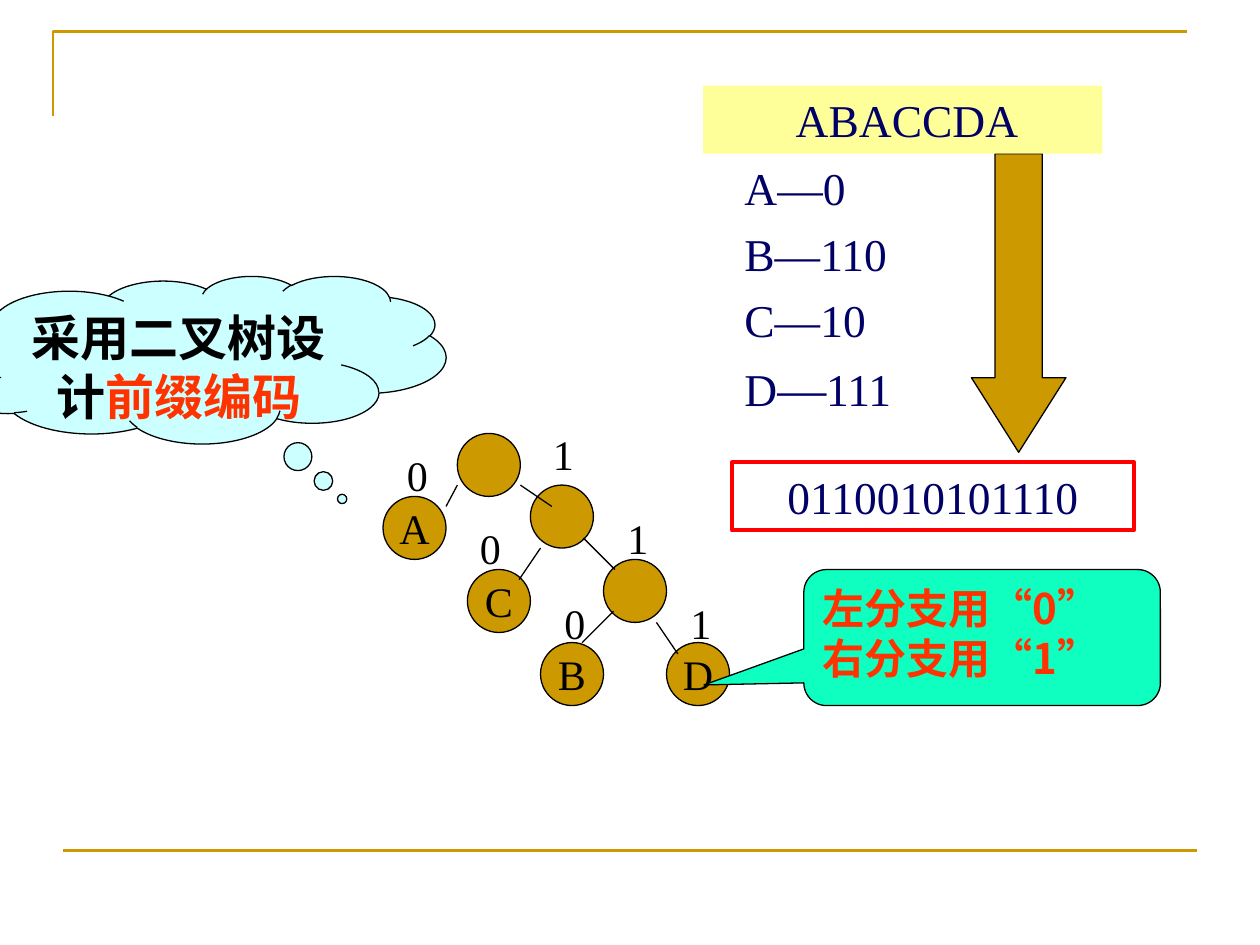
from pptx import Presentation
from pptx.dml.color import RGBColor
from pptx.enum.shapes import MSO_CONNECTOR, MSO_SHAPE
from pptx.enum.text import MSO_ANCHOR, PP_ALIGN
from pptx.oxml.ns import qn
from pptx.util import Inches, Pt
from lxml.etree import SubElement

LATIN, CHINESE = "Times New Roman", "Noto Sans CJK SC"
BLACK, NAVY, GOLD, RED = "000000", "000066", "CC9900", "FF3300"
NODE_SIZE = 0.5
LABEL_SIZE = (0.58, 0.5)

NODES = [("", 3.63, 3.44), ("", 4.21, 3.85), ("", 4.79, 4.44),
         ("A", 3.04, 3.94), ("C", 3.71, 4.52), ("B", 4.29, 5.1), ("D", 5.29, 5.1)]
EDGES = [(3.63, 3.85, 3.54, 4.02), (4.13, 3.85, 4.38, 4.02),
         (4.29, 4.35, 4.12, 4.6), (4.87, 4.85, 4.62, 5.1),
         (5.21, 4.94, 5.38, 5.19), (4.63, 4.27, 4.88, 4.52)]
BRANCH_LABELS = [("0", 3.13, 3.52), ("0", 3.71, 4.1), ("0", 4.38, 4.69),
                 ("1", 4.29, 3.35), ("1", 4.88, 4.02), ("1", 5.38, 4.69)]


def color(value):
    return RGBColor.from_string(value)


def inches(*lengths):
    return [Inches(length) for length in lengths]


def run(text, size, ink, font=LATIN, bold=False):
    return text, size, ink, font, bold


def write(shape, paragraphs, align=PP_ALIGN.LEFT, anchor=MSO_ANCHOR.TOP,
          wrap=True, space_before=0):
    """Fill a shape with paragraphs, each given as a list of runs."""
    frame = shape.text_frame
    frame.word_wrap = wrap
    frame.vertical_anchor = anchor
    for index, runs in enumerate(paragraphs):
        paragraph = frame.add_paragraph() if index else frame.paragraphs[0]
        paragraph.alignment = align
        if index:
            paragraph.space_before = Pt(space_before)
        for text, size, ink, font, bold in runs:
            piece = paragraph.add_run()
            piece.text = text
            piece.font.size = Pt(size)
            piece.font.name = font
            piece.font.bold = bold
            piece.font.color.rgb = color(ink)
            if bold:
                properties = piece.font._element
                SubElement(properties, qn("a:ea")).set("typeface", CHINESE)


def style(shape, fill, line, width):
    shape.shadow.inherit = False
    if fill:
        shape.fill.solid()
        shape.fill.fore_color.rgb = color(fill)
    else:
        shape.fill.background()
    if line:
        shape.line.color.rgb = color(line)
        shape.line.width = Pt(width)
    else:
        shape.line.fill.background()


def add_shape(slide, kind, box, fill=None, line=BLACK, width=0.75, adjustments=()):
    shape = slide.shapes.add_shape(kind, *inches(*box))
    style(shape, fill, line, width)
    for index, value in enumerate(adjustments):
        shape.adjustments[index] = value
    return shape


def add_line(slide, ends, ink=BLACK, width=0.75):
    line = slide.shapes.add_connector(MSO_CONNECTOR.STRAIGHT, *inches(*ends))
    line.line.color.rgb = color(ink)
    line.line.width = Pt(width)
    SubElement(line._element.spPr, qn("a:effectLst"))


def add_text(slide, box, paragraphs, **options):
    write(slide.shapes.add_textbox(*inches(*box)), paragraphs, **options)


def add_frame_lines(slide):
    builder = slide.shapes.build_freeform(*inches(0.42, 0.92), scale=1.0)
    builder.add_line_segments([inches(0.42, 0.25), inches(9.42, 0.25)], close=False)
    style(builder.convert_to_shape(), None, GOLD, 1.5)
    add_line(slide, (0.5, 6.75, 9.5, 6.75), GOLD, 1.5)


def add_tree(slide):
    for name, left, top in NODES:
        node = add_shape(slide, MSO_SHAPE.OVAL, (left, top, NODE_SIZE, NODE_SIZE), GOLD)
        if name:
            write(node, [[run(name, 24, BLACK)]], PP_ALIGN.CENTER,
                  MSO_ANCHOR.MIDDLE, wrap=False)
    for ends in EDGES:
        add_line(slide, ends)
    for digit, left, top in BRANCH_LABELS:
        add_text(slide, (left, top, *LABEL_SIZE), [[run(digit, 24, BLACK)]])


def add_callouts(slide):
    cloud = add_shape(slide, MSO_SHAPE.CLOUD_CALLOUT, (-0.42, 2.19, 3.96, 1.33),
                      "CCFFFF", adjustments=(0.292, 0.831))
    write(cloud, [[run("采用二叉树设计", 28, BLACK, bold=True),
                   run("前缀编码", 28, RED, bold=True)]], PP_ALIGN.CENTER)
    rule = add_shape(slide, MSO_SHAPE.ROUNDED_RECTANGULAR_CALLOUT, (6.38, 4.52, 2.83, 1.08),
                     "0FFFC0", adjustments=(-0.78, 0.348, 0.167))
    write(rule, [[run(text, 24, RED, CHINESE, True)]
                 for text in ("左分支用“0”", "右分支用“1”")])


def add_encoding(slide):
    codes = [[run(text, 26, NAVY)] for text in ("A—0", "B—110", "C—10")]
    codes.append([run("D", 26, NAVY), run("—", 28, NAVY), run("111", 26, NAVY)])
    add_text(slide, (5.81, 1.22, 1.52, 3.87), codes, space_before=6.5)
    add_shape(slide, MSO_SHAPE.DOWN_ARROW, (7.71, 1.22, 0.75, 2.37), GOLD,
              adjustments=(0.5, 0.789))
    encoded = add_shape(slide, MSO_SHAPE.RECTANGLE, (5.81, 3.67, 3.19, 0.54),
                        line="FF0000", width=2.25)
    write(encoded, [[run("0110010101110", 26, NAVY)]], PP_ALIGN.CENTER)
    message = add_shape(slide, MSO_SHAPE.RECTANGLE, (5.58, 0.68, 3.17, 0.54),
                        "FFFF99", line=None)
    write(message, [[run(" ABACCDA", 26, NAVY)]], PP_ALIGN.CENTER)


def main():
    presentation = Presentation()
    presentation.slide_width, presentation.slide_height = inches(10, 7.5)
    slide = presentation.slides.add_slide(presentation.slide_layouts[6])
    add_frame_lines(slide)
    add_tree(slide)
    add_callouts(slide)
    add_encoding(slide)
    presentation.save("out.pptx")


if __name__ == "__main__":
    main()
